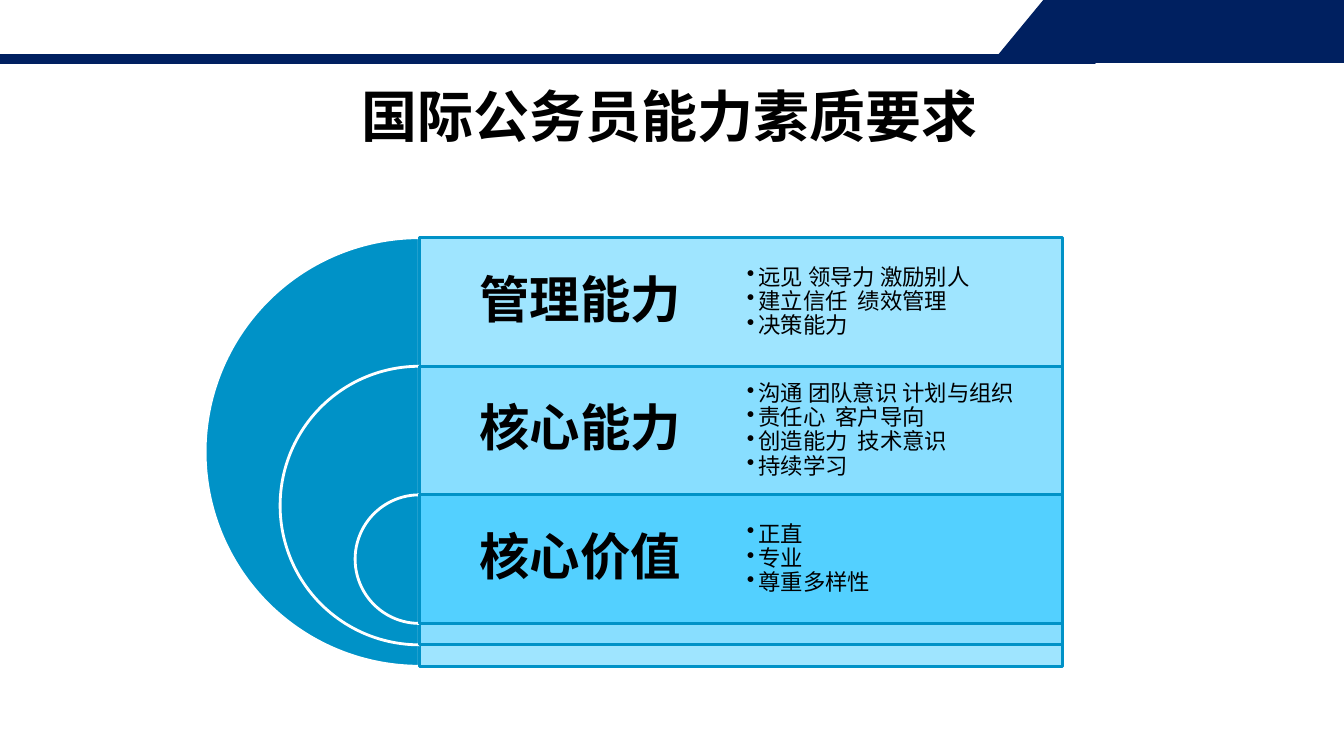
"""Build the slide on the competencies required of international civil servants."""
import pptx
import pptx.util
import pptx.dml.color
import pptx.enum.shapes
import pptx.enum.text
import pptx.oxml.ns
import lxml.etree

Cm = pptx.util.Cm
Pt = pptx.util.Pt
SHAPE = pptx.enum.shapes.MSO_SHAPE
ALIGN = pptx.enum.text.PP_ALIGN
ANCHOR = pptx.enum.text.MSO_ANCHOR

TITLE = "国际公务员能力素质要求"
LEVELS = [
    ("管理能力", "82DDFF", ["远见 领导力 激励别人", "建立信任  绩效管理", "决策能力"]),
    ("核心能力", "82DDFF", ["沟通 团队意识 计划与组织", "责任心  客户导向", "创造能力  技术意识", "持续学习"]),
    ("核心价值", "43CCFF", ["正直", "专业", "尊重多样性"]),
]
THEME = {
    "font": "Noto Sans CJK SC", "ink": "000000", "navy": "002060", "disc": "0092C7", "ring": "FFFFFF",
    "title": 40, "name": 36, "detail": 16, "opacity": 76,
}
BANNER = [(25.02, 1.57), (26.34, -0.03), (33.86, -0.03), (33.86, 1.57)]
AXIS, TOP, BAND, SHRINK = 10.57, 5.99, 3.24, 3.78
PANEL_WIDTH, COLUMN = 16.2, 8.1
HALF_DISC = (54, 162)


def color(name):
    return pptx.dml.color.RGBColor.from_string(THEME.get(name, name))


def paint(shape, fill, line, width, opacity=100):
    shape.shadow.inherit = False
    shape.fill.solid()
    shape.fill.fore_color.rgb = color(fill)
    shape.line.color.rgb = color(line)
    shape.line.width = Pt(width)
    if opacity < 100:
        tint = shape.fill._xPr.find(".//" + pptx.oxml.ns.qn("a:srgbClr"))
        lxml.etree.SubElement(tint, pptx.oxml.ns.qn("a:alpha"), val=str(opacity * 1000))


def add_panel(page, kind, place, *style):
    shape = page.shapes.add_shape(kind, *map(Cm, place))
    paint(shape, *style)
    return shape


def add_bullet(para):
    properties = para._p.get_or_add_pPr()
    for key, value in {"marL": Cm(0.3), "indent": Cm(-0.3)}.items():
        properties.set(key, str(value))
    lxml.etree.SubElement(properties, pptx.oxml.ns.qn("a:buChar"), char="•")


def add_text(page, place, lines, size, inset, bold=False, bullets=False, **layout):
    box = page.shapes.add_textbox(*map(Cm, place))
    frame = box.text_frame
    frame_format = {"word_wrap": True, "vertical_anchor": ANCHOR.MIDDLE}
    frame_format.update({"margin_" + side: Cm(inset) for side in ("left", "right", "top", "bottom")})
    for key, value in frame_format.items():
        setattr(frame, key, value)
    for index, line in enumerate(lines):
        para = frame.add_paragraph() if index else frame.paragraphs[0]
        for key, value in layout.items():
            setattr(para, key, value)
        if bullets:
            add_bullet(para)
        span = para.add_run()
        span.text = line
        for key, value in {"name": THEME["font"], "size": Pt(THEME[size]), "bold": bold}.items():
            setattr(span.font, key, value)
        span.font.color.rgb = color("ink")
        lxml.etree.SubElement(span.font._element, pptx.oxml.ns.qn("a:ea"), typeface=THEME["font"])


def add_header(page):
    corners = [(Cm(x), Cm(y)) for x, y in BANNER]
    outline = page.shapes.build_freeform(*corners[0])
    outline.add_line_segments(corners[1:], close=True)
    paint(outline.convert_to_shape(), "navy", "navy", 1)
    add_panel(page, SHAPE.RECTANGLE, (0, 1.38, 27.6, 0.2), "navy", "navy", 1.5)
    add_text(page, (6.98, 1.91, 19.78, 1.96), [TITLE], "title", 0.13, bold=True, alignment=ALIGN.CENTER)


def add_level(page, index, name, tint):
    top, size = TOP + index * BAND, BAND + (len(LEVELS) - 1 - index) * SHRINK
    disc = add_panel(page, SHAPE.PIE, (AXIS - size / 2, top, size, size), "disc", "ring", 2)
    for position, angle in enumerate(HALF_DISC):
        disc.adjustments[position] = angle
    add_panel(page, SHAPE.RECTANGLE, (AXIS, top, PANEL_WIDTH, size), tint, "disc", 2, THEME["opacity"])
    add_text(page, (AXIS, top, COLUMN, BAND), [name], "name", 0.38, bold=True,
             alignment=ALIGN.CENTER, line_spacing=0.9)


def main():
    deck = pptx.Presentation()
    deck.slide_width, deck.slide_height = Cm(33.87), Cm(19.05)
    page = deck.slides.add_slide(deck.slide_layouts[6])
    add_header(page)
    for index, (name, tint, details) in enumerate(LEVELS):
        add_level(page, index, name, tint)
    for index, (name, tint, details) in enumerate(LEVELS):
        add_text(page, (AXIS + COLUMN, TOP + index * BAND, COLUMN, BAND), details, "detail", 0.15,
                 bullets=True, alignment=ALIGN.JUSTIFY, level=1, line_spacing=0.9)
    deck.save("out.pptx")


if __name__ == "__main__":
    main()
